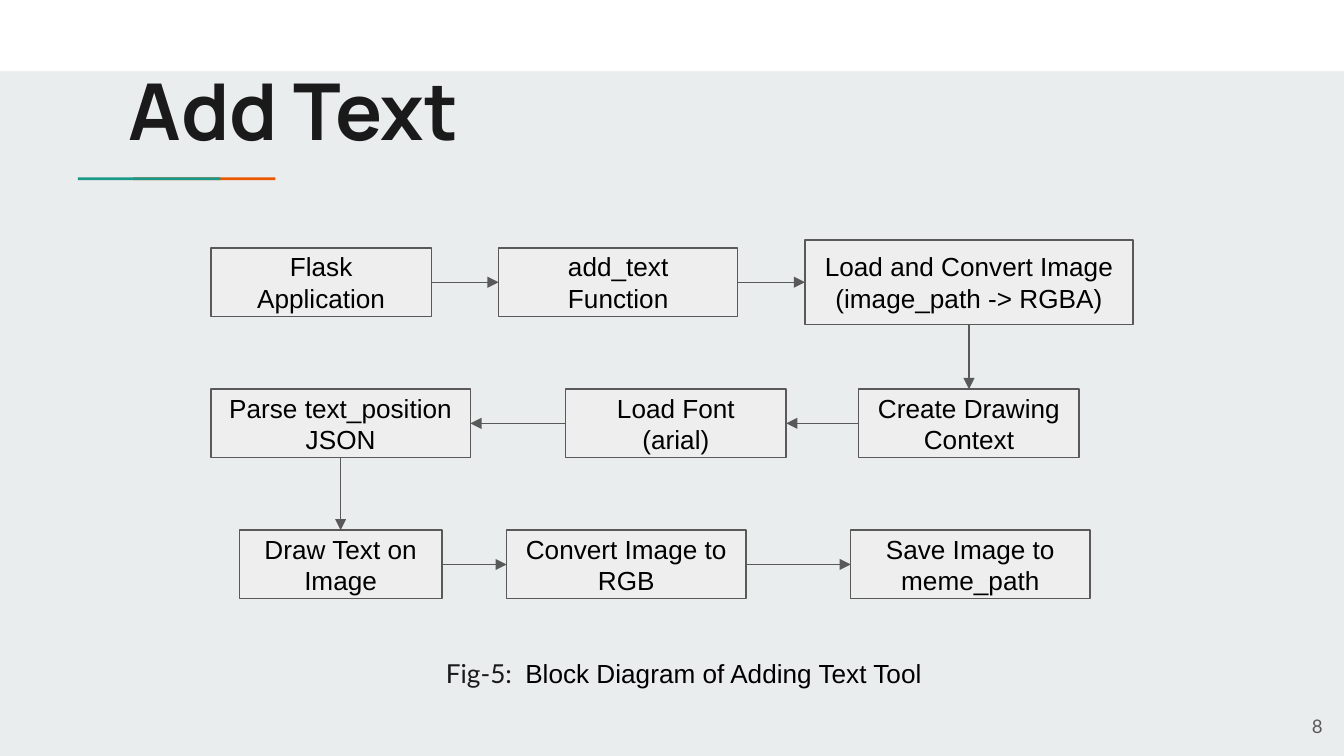
from lxml.etree import SubElement as Sub
from pptx import Presentation
from pptx.dml.color import RGBColor as Rgb
from pptx.enum.shapes import MSO_CONNECTOR as Link, MSO_SHAPE as Kind
from pptx.enum.text import MSO_ANCHOR as Anchor, PP_ALIGN as Align
from pptx.oxml.ns import qn
from pptx.util import Inches, Pt

WIDE = 10
HIGH = WIDE * 9 / 16
INK, GRAY, DARK = "000000", "595959", "1A1A1A"
TOP, STEP, BOX = 2.1, 1.05, 0.51
PAD, SLIM = 0.1, 0.2
TAB = 0.59
UP, LEFT, DOWN, RIGHT = range(4)

BARS = [
    ((0, 0, WIDE, 0.53), "FFFFFF"),
    ((0.99, 1.32, 1.06, 0.02), "EB5600"),
    ((0.58, 1.32, 1.06, 0.02), "1A9988"),
]
BODY = dict(name="Arial", size=Pt(14), bold=False, color=INK)
HEAD = dict(name="Manrope", size=Pt(42), bold=True, color=DARK)
LABEL = dict(BODY, name="Lato", color=DARK)
PAGE = dict(BODY, name="Lato", size=Pt(10), color=GRAY)
TEXTS = [
    ((0.86, 0.36, 8.41, 0.91), Anchor.MIDDLE, Align.LEFT, [("Add Text", HEAD)]),
    ((9.34, 5.19, 0.6, 0.43), Anchor.MIDDLE, Align.RIGHT, [("8", PAGE)]),
    ((3.22, 4.79, 3.9, 0.41), Anchor.TOP, Align.LEFT,
     [("Fig-5:\t", LABEL), ("Block Diagram of Adding Text Tool", BODY)]),
]
ROWS = [
    [("Flask Application", 1.57, 1.64, BOX, SLIM),
     ("add_text Function", 3.71, 1.78, BOX, SLIM),
     ("Load and Convert Image (image_path -> RGBA)", 5.99, 2.44, 0.63, PAD)],
    [("Create Drawing Context", 6.39, 1.64, BOX, PAD),
     ("Load Font (arial)", 4.21, 1.64, BOX, SLIM),
     ("Parse text_position JSON", 1.57, 1.93, BOX, PAD)],
    [("Draw Text on Image", 1.78, 1.51, BOX, PAD),
     ("Convert Image to RGB", 3.77, 1.78, BOX, PAD),
     ("Save Image to meme_path", 6.33, 1.78, BOX, PAD)],
]


def tint(code):
    return Rgb.from_string(code)


def rect(area, fill, line=None):
    shape = shapes.add_shape(Kind.RECTANGLE, *map(Inches, area))
    shape.shadow.inherit = False
    shape.fill.solid()
    shape.fill.fore_color.rgb = tint(fill)
    if line:
        shape.line.color.rgb = tint(line)
        shape.line.width = Pt(0.75)
    else:
        shape.line.fill.background()
    return shape


def write(shape, runs, anchor, align, pad=PAD):
    frame = shape.text_frame
    sides = dict(left=pad, right=pad, top=PAD, bottom=PAD)
    for side, size in sides.items():
        setattr(frame, f"margin_{side}", Inches(size))
    frame.word_wrap = True
    frame.vertical_anchor = anchor
    para = frame.paragraphs[0]
    para.alignment = align
    if any("\t" in words for words, _ in runs):
        tabs = Sub(para._p.get_or_add_pPr(), qn("a:tabLst"))
        Sub(tabs, qn("a:tab"), pos=str(Inches(TAB)), algn="l")
    for words, style in runs:
        run = para.add_run()
        run.text = words
        for key, value in style.items():
            if key == "color":
                run.font.color.rgb = tint(value)
            else:
                setattr(run.font, key, value)


def arrow(start, out, end, into):
    line = shapes.add_connector(Link.STRAIGHT, 0, 0, 0, 0)
    line.begin_connect(start, out)
    line.end_connect(end, into)
    line.line.color.rgb = tint(GRAY)
    line.line.width = Pt(0.75)
    props = line._element.spPr
    Sub(props.find(qn("a:ln")), qn("a:tailEnd"), type="triangle")
    Sub(props, qn("a:effectLst"))


deck = Presentation()
deck.slide_width, deck.slide_height = Inches(WIDE), Inches(HIGH)
slide = deck.slides.add_slide(deck.slide_layouts[6])
slide.background.fill.solid()
slide.background.fill.fore_color.rgb = tint("E9EDEE")
shapes = slide.shapes

for area, fill in BARS:
    rect(area, fill)
for area, anchor, align, runs in TEXTS:
    write(shapes.add_textbox(*map(Inches, area)), runs, anchor, align)

last = None
for row, steps in enumerate(ROWS):
    mid = TOP + row * STEP
    out, into = (LEFT, RIGHT) if row % 2 else (RIGHT, LEFT)
    for col, (words, left, width, height, pad) in enumerate(steps):
        box = rect((left, mid - height / 2, width, height), "EEEEEE", GRAY)
        write(box, [(words, BODY)], Anchor.MIDDLE, Align.CENTER, pad)
        if last:
            arrow(last, *((out, box, into) if col else (DOWN, box, UP)))
        last = box

deck.save("out.pptx")
